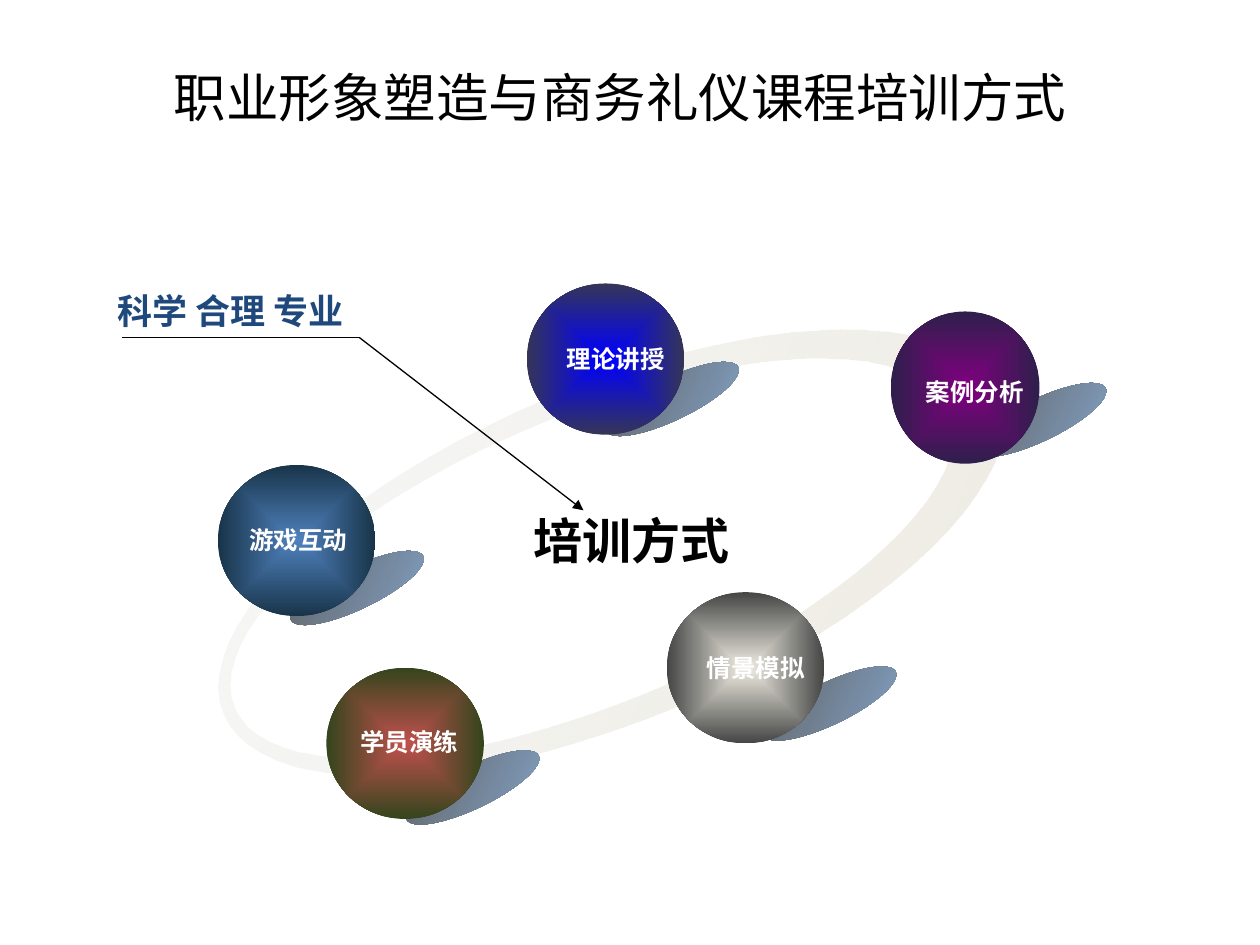
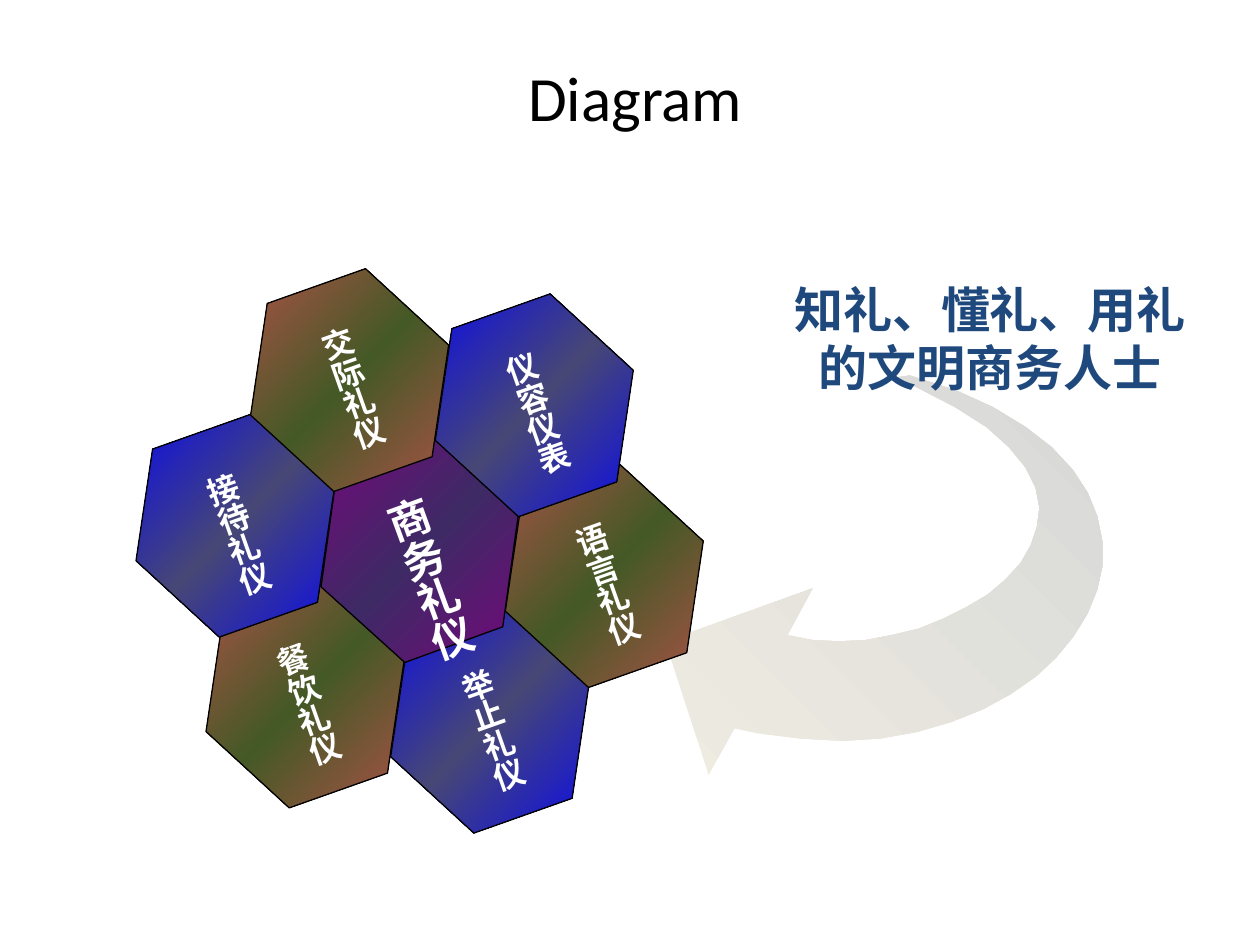
from math import cos, pi, sin

from lxml import etree
from pptx import Presentation
from pptx.dml.color import RGBColor
from pptx.enum import shapes, text
from pptx.oxml import parse_xml
from pptx.oxml.ns import nsdecls, qn
from pptx.util import Pt

BLACK, WHITE, NAVY = "000000", "FFFFFF", "1F497D"
BLUES = [(0, "0000FF"), (50, "474776"), (100, "0000FF")]
RUSTS = [(0, "C0504D"), (50, "445926"), (100, "C0504D")]
PURPLES = [(0, "800080"), (50, "3E2A65"), (100, "800080")]
BALL_SHADE = [(0, "5F5F5F"), (100, "84A5CA")]
RING_FADE = [(0, "ECECEC", 36), (100, "EEECE1")]
ARROW_FADE = [(0, "EEECE1"), (100, "D7D7D7")]

# label, centre colour, edge colour, ball box, shade corner, label corner
BALLS = [
    ("理论讲授", "0000FF", "353558", (301, 162, 90, 86.4), (342, 216), (316.8, 193)),
    ("游戏互动", "4F81BD", "183449", (124.5, 265.7, 90, 86.4), (162, 324), (135.4, 296.6)),
    ("学员演练", "C0504D", "34451D", (186.5, 381.6, 90, 86.4), (228, 438), (198.7, 411.8)),
    ("情景模拟", "EEECE1", "454545", (381, 338.4, 90, 86.4), (432, 390), (396.7, 369.4)),
    ("案例分析", "800080", "2E1F4B", (509, 178, 85, 87), (552, 228), (522, 211.7)),
]

# label, colours, steps along the two honeycomb directions, size, rotation, angle
OUTER_CELL = (18, 160.5, 224)
CELLS = [
    ("举止礼仪", BLUES, 0, 1, *OUTER_CELL),
    ("语言礼仪", RUSTS, 1, 0, *OUTER_CELL),
    ("餐饮礼仪", RUSTS, -1, 1, *OUTER_CELL),
    ("商务礼仪", PURPLES, 0, 0, 24, 160, 225),
    ("仪容仪表", BLUES, 1, -1, *OUTER_CELL),
    ("接待礼仪", BLUES, -1, 0, *OUTER_CELL),
    ("交际礼仪", RUSTS, 0, -1, *OUTER_CELL),
]
HONEYCOMB = (179.8, 257.8)
STEP_A, STEP_B = (105.5, 14.4), (40, 97.6)

ARROW = [
    (520, 214.6), (546, 223), (567, 232.5), (586, 244), (601, 255.6), (613, 268.5),
    (621.5, 281.5), (627, 295), (630, 309.6), (630, 323.3), (627, 337), (621.5, 350.6),
    (613.5, 363.6), (603.5, 375.8), (592, 386.6), (577.5, 396.7), (561.6, 405.4),
    (543.6, 412.6), (524, 418.3), (503.3, 422), (481, 423.4), (457, 422), (432.7, 419),
    (419.8, 416.2), (405, 442.8), (380.2, 366.5), (464.4, 336.2), (450, 362.9),
    (464.4, 365.8), (479.5, 366.5), (494.6, 365.8), (509.8, 362.9), (524.9, 359.3),
    (539.3, 353.5), (552.2, 347), (564.5, 339.8), (574.6, 331.2), (583.2, 321.8),
    (589, 311.8), (592.6, 301), (594, 290.2), (591.8, 278.6), (586, 267), (576.7, 255.6),
    (563.8, 244), (545.8, 232.6), (523.4, 221), (510.5, 216),
]


def rgb(value):
    return RGBColor.from_string(value)


def ellipse_points(cx, cy, rx, ry, count=80):
    turns = [2 * pi * i / count for i in range(count)]
    return [(cx + rx * cos(t), cy + ry * sin(t)) for t in turns]


class Deck:
    def __init__(self):
        self.prs = Presentation()
        self.prs.slide_width, self.prs.slide_height = Pt(720), Pt(540)
        self.slide = None

    def add_slide(self, title, box, size):
        self.slide = self.prs.slides.add_slide(self.prs.slide_layouts[5])
        sp = self.slide.shapes.title
        sp.left, sp.top, sp.width, sp.height = map(Pt, box)
        sp.text_frame.auto_size = text.MSO_AUTO_SIZE.NONE
        sp.text_frame.vertical_anchor = text.MSO_ANCHOR.MIDDLE
        self.set_text(sp.text_frame, title, size, BLACK, "Calibri", False, True)

    def set_text(self, tf, words, size, color, face="Arial", bold=True, center=False):
        p = tf.paragraphs[0]
        p.text = words
        p.alignment = text.PP_ALIGN.CENTER if center else text.PP_ALIGN.LEFT
        p.font.size, p.font.name, p.font.bold = Pt(size), face, bold
        p.font.color.rgb = rgb(color)

    def paint(self, sp, stops, angle=None, outline=None):
        """Fill with a gradient: linear at an angle, or from the centre without one."""
        sp.shadow.inherit = False
        marks = ""
        for pos, color, *alpha in stops:
            clear = f'<a:alpha val="{alpha[0] * 1000}"/>' if alpha else ""
            marks += f'<a:gs pos="{pos * 1000}"><a:srgbClr val="{color}">{clear}</a:srgbClr></a:gs>'
        if angle is None:
            way = ('<a:path path="rect"><a:fillToRect l="50000" t="50000" '
                   'r="50000" b="50000"/></a:path>')
        else:
            way = f'<a:lin ang="{angle * 60000}" scaled="1"/>'
        grad = parse_xml(f'<a:gradFill {nsdecls("a")} rotWithShape="0">'
                         f'<a:gsLst>{marks}</a:gsLst>{way}</a:gradFill>')
        sp.fill.background()
        props = sp._element.spPr
        props.replace(props.find(qn("a:noFill")), grad)
        if outline:
            sp.line.color.rgb, sp.line.width = rgb(outline), Pt(0.75)
        else:
            sp.line.fill.background()

    def shape(self, kind, box, stops, angle=None, rotation=0, outline=None):
        sp = self.slide.shapes.add_shape(kind, *map(Pt, box))
        sp.rotation = rotation
        self.paint(sp, stops, angle, outline)
        return sp

    def outline(self, contours, stops, angle, rotation=0):
        """Draw one freeform; later contours cut holes in the first."""
        contours = [[(Pt(x), Pt(y)) for x, y in c] for c in contours]
        pen = self.slide.shapes.build_freeform(*contours[0][0])
        pen.add_line_segments(contours[0][1:])
        for hole in contours[1:]:
            pen.move_to(*hole[0])
            pen.add_line_segments(hole[1:])
        sp = pen.convert_to_shape()
        sp.rotation = rotation
        self.paint(sp, stops, angle)

    def label(self, words, box, size, color, face="Arial", center=False, wrap=True):
        tf = self.slide.shapes.add_textbox(*map(Pt, box)).text_frame
        tf.word_wrap = wrap
        self.set_text(tf, words, size, color, face, True, center)

    def line(self, start, end, arrow=False):
        cx = self.slide.shapes.add_connector(
            shapes.MSO_CONNECTOR.STRAIGHT, *map(Pt, start + end))
        cx.line.color.rgb, cx.line.width = rgb(BLACK), Pt(0.75)
        if arrow:
            etree.SubElement(cx.line._get_or_add_ln(), qn("a:tailEnd"), type="triangle")
        etree.SubElement(cx._element.spPr, qn("a:effectLst"))

    def hexagon(self, words, corner, stops, size, rotation, angle):
        sp = self.shape(shapes.MSO_SHAPE.HEXAGON, (*corner, 120, 114),
                        stops, angle, rotation, BLACK)
        sp.adjustments[0], sp.adjustments[1] = 0.265, 1.155
        tf = sp.text_frame
        tf.margin_left = tf.margin_right = Pt(3.6)
        tf.margin_top = tf.margin_bottom = Pt(7.2)
        tf.vertical_anchor = text.MSO_ANCHOR.MIDDLE
        tf.word_wrap = False
        body = tf._txBody.bodyPr
        body.set("vert", "eaVert")
        body.set("rot", str(180 * 60000))
        self.set_text(tf, words, size, WHITE, center=True)


def training_methods(deck):
    deck.add_slide(" 职业形象塑造与商务礼仪课程培训方式", (60, 36, 582, 38), 30)
    ring = [ellipse_points(349.5, 316, 239.8, 95.4), ellipse_points(338, 314.8, 221, 82.4)]
    deck.outline(ring, RING_FADE, 23, 337.4)
    oval = shapes.MSO_SHAPE.OVAL
    for *_, shade, _ in BALLS:
        deck.shape(oval, (*shade, 84, 24), BALL_SHADE, 26, 334.3)
    for _, middle, edge, box, *_ in BALLS:
        deck.shape(oval, box, [(0, middle), (100, edge)])
    for name, *_, corner in BALLS:
        deck.label(name, (*corner, 70.6, 24.5), 14, WHITE, "DejaVu Sans", wrap=False)
    deck.label("培训方式", (270, 288, 181.4, 41), 28, BLACK, center=True)
    deck.line((205.5, 193), (333.4, 291.6), arrow=True)
    deck.line((205.5, 193), (70, 193))
    deck.label("科学 合理 专业", (60, 162, 162, 31.7), 20, NAVY, "DejaVu Sans")


def etiquette_diagram(deck):
    deck.add_slide("Diagram", (84, 36, 558, 38), 36)
    deck.outline([ARROW], ARROW_FADE, 315)
    for name, stops, a, b, size, rotation, angle in CELLS:
        corner = [o + a * i + b * j for o, i, j in zip(HONEYCOMB, STEP_A, STEP_B)]
        deck.hexagon(name, corner, stops, size, rotation, angle)
    deck.label("知礼、懂礼、用礼的文明商务人士", (444, 156, 243.4, 75), 28, NAVY, center=True)


def main():
    deck = Deck()
    training_methods(deck)
    etiquette_diagram(deck)
    deck.prs.save("out.pptx")


if __name__ == "__main__":
    main()
